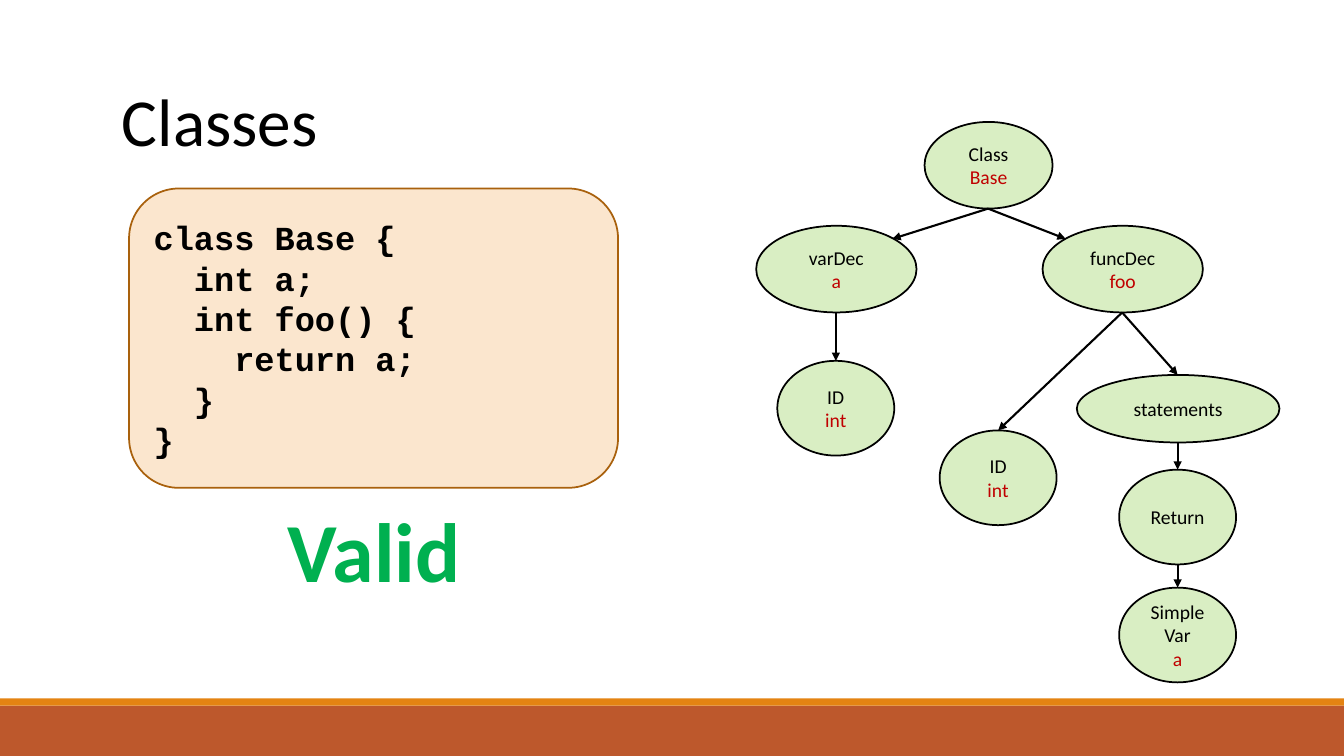
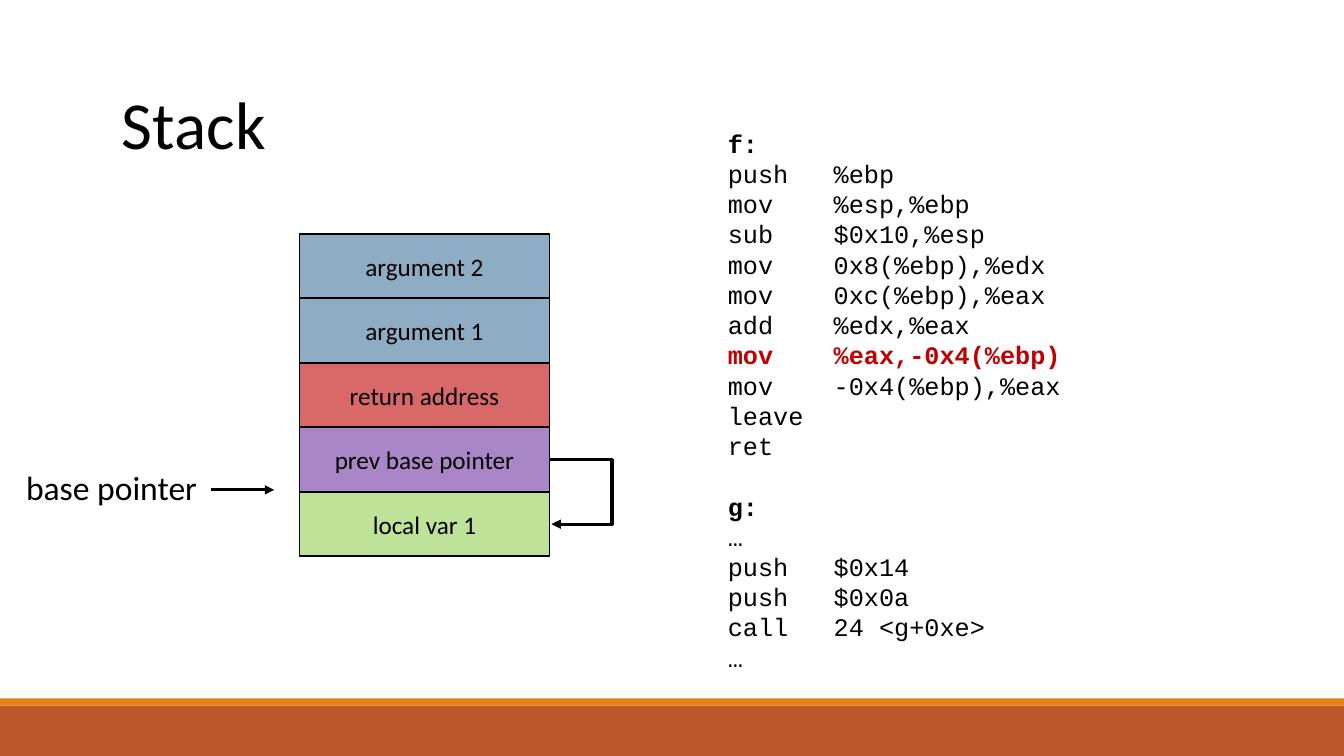
from dataclasses import dataclass
from math import sqrt

from lxml import etree
from pptx import Presentation
from pptx.dml.color import RGBColor
from pptx.enum.shapes import MSO_CONNECTOR, MSO_SHAPE
from pptx.enum.text import MSO_ANCHOR, MSO_AUTO_SIZE, PP_ALIGN
from pptx.oxml.ns import qn
from pptx.util import Emu, Pt

PX = 9144  # 100 px to the inch
SLIDE_WIDTH, SLIDE_HEIGHT = 1333, 750
RECTANGLE, ROUNDED, OVAL = MSO_SHAPE.RECTANGLE, MSO_SHAPE.ROUNDED_RECTANGLE, MSO_SHAPE.OVAL
STRAIGHT, ELBOW = MSO_CONNECTOR.STRAIGHT, MSO_CONNECTOR.ELBOW
LEFT, CENTER = PP_ALIGN.LEFT, PP_ALIGN.CENTER
TOP, MIDDLE = MSO_ANCHOR.TOP, MSO_ANCHOR.MIDDLE
TITLE_ONLY = 5
SANS, MONO = "Calibri", "Courier New"
CODE_LEADING = 1.2
COLORS = {
    "black": "000000", "red": "C00000", "valid": "00B050", "green": "92D050",
    "purple": "7030A0", "blue": "40749B", "code_fill": "FBE6CE",
    "code_line": "A9610D", "band": "BD582C", "stripe": "E48312",
}


@dataclass(frozen=True)
class Box:
    left: int
    top: int
    width: int
    height: int

    @property
    def center_x(self) -> int:
        return self.left + self.width // 2

    @property
    def bottom(self) -> int:
        return self.top + self.height

    def diagonal(self, side: int) -> tuple[int, int]:
        """Point on the upper arc of the inscribed oval: side -1 left, 1 right."""
        reach = 1 / sqrt(2)
        return (round(self.center_x + side * self.width / 2 * reach),
                round(self.top + self.height / 2 * (1 - reach)))


@dataclass(frozen=True)
class Line:
    text: str
    size: int
    color: str = "black"
    font: str = SANS
    bold: bool = False
    space_before: float = 0


@dataclass(frozen=True)
class Node:
    box: Box
    labels: tuple[str, ...]
    value: str = ""


@dataclass(frozen=True)
class Edge:
    parent: str
    child: str
    side: int = 0  # 0 ends at the top, -1 and 1 on the upper left and right arc


@dataclass(frozen=True)
class Cell:
    label: str
    color: str


TREE = {
    "class": Node(Box(917, 121, 127, 86), ("Class",), "Base"),
    "variable": Node(Box(750, 224, 159, 86), ("varDec",), "a"),
    "variable type": Node(Box(771, 358, 116, 94), ("ID",), "int"),
    "function": Node(Box(1034, 224, 159, 86), ("funcDec",), "foo"),
    "function type": Node(Box(932, 427, 116, 94), ("ID",), "int"),
    "statements": Node(Box(1068, 372, 201, 67), ("statements",)),
    "return": Node(Box(1110, 466, 116, 94), ("Return",)),
    "simple": Node(Box(1110, 583, 116, 94), ("Simple", "Var"), "a"),
}
EDGES = (
    Edge("class", "variable", 1), Edge("class", "function", -1),
    Edge("variable", "variable type"), Edge("function", "function type"),
    Edge("function", "statements"), Edge("statements", "return"),
    Edge("return", "simple"),
)
CLASS_CODE = """class Base {
  int a;
  int foo() {
    return a;
  }
}"""
ASSEMBLY_F = """f:
push   %ebp
mov    %esp,%ebp
sub    $0x10,%esp
mov    0x8(%ebp),%edx
mov    0xc(%ebp),%eax
add    %edx,%eax
mov    %eax,-0x4(%ebp)
mov    -0x4(%ebp),%eax
leave
ret"""
ASSEMBLY_G = """g:
…
push   $0x14
push   $0x0a
call   24 <g+0xe>
…"""
CURRENT_INSTRUCTION = "mov    %eax,-0x4(%ebp)"
STACK = (
    Cell("argument 2", "blue"), Cell("argument 1", "blue"),
    Cell("return address", "red"), Cell("prev base pointer", "purple"),
    Cell("local var 1", "green"),
)
STACK_TOP = Box(297, 232, 248, 64)


def rgb(name: str) -> RGBColor:
    return RGBColor.from_string(COLORS[name])


def emu(*lengths: int) -> list[Emu]:
    return [Emu(length * PX) for length in lengths]


def place(box: Box) -> list[Emu]:
    return emu(box.left, box.top, box.width, box.height)


def write(shape, lines: list[Line], align=LEFT, anchor=TOP) -> None:
    frame = shape.text_frame
    frame.word_wrap = True
    frame.auto_size = MSO_AUTO_SIZE.NONE
    frame.vertical_anchor = anchor
    for index, line in enumerate(lines):
        paragraph = frame.add_paragraph() if index else frame.paragraphs[0]
        paragraph.alignment = align
        if line.font == MONO:
            paragraph.line_spacing = Pt(line.size * CODE_LEADING)
        if line.space_before:
            paragraph.space_before = Pt(line.space_before)
        run = paragraph.add_run()
        run.text = line.text
        run.font.name = line.font
        run.font.size = Pt(line.size)
        run.font.bold = line.bold
        run.font.color.rgb = rgb(line.color)


def add_text(slide, box: Box, lines: list[Line], align=LEFT) -> None:
    write(slide.shapes.add_textbox(*place(box)), lines, align)


def add_box(slide, kind, box: Box, fill: str, line: str = "", opacity: int = 100):
    shape = slide.shapes.add_shape(kind, *place(box))
    shape.shadow.inherit = False
    shape.fill.solid()
    shape.fill.fore_color.rgb = rgb(fill)
    if opacity < 100:
        color = shape.element.spPr.find(f"{qn('a:solidFill')}/{qn('a:srgbClr')}")
        etree.SubElement(color, qn("a:alpha"), val=str(opacity * 1000))
    if line:
        shape.line.color.rgb = rgb(line)
        shape.line.width = Pt(1.25)
    else:
        shape.line.fill.background()
    return shape


def add_arrow(slide, start: tuple[int, int], end: tuple[int, int],
              width: float, kind=STRAIGHT):
    arrow = slide.shapes.add_connector(kind, *emu(*start, *end))
    arrow.line.color.rgb = rgb("black")
    arrow.line.width = Pt(width)
    properties = arrow.element.spPr
    etree.SubElement(properties.find(qn("a:ln")), qn("a:tailEnd"), type="triangle")
    etree.SubElement(properties, qn("a:effectLst"))
    return arrow


def add_loop(slide, start: tuple[int, int], end: tuple[int, int], reach: int) -> None:
    """Elbow arrow that runs reach px to the right before it turns back."""
    arrow = add_arrow(slide, start, end, 2.25, ELBOW)
    geometry = arrow.element.spPr.find(qn("a:prstGeom"))
    adjustments = geometry.find(qn("a:avLst"))
    if adjustments is None:
        adjustments = etree.SubElement(geometry, qn("a:avLst"))
    ratio = reach * 100000 // (end[0] - start[0])
    etree.SubElement(adjustments, qn("a:gd"), name="adj1", fmla=f"val {ratio}")


def add_titled_slide(presentation, title: str, top: int):
    slide = presentation.slides.add_slide(presentation.slide_layouts[TITLE_ONLY])
    shape = slide.shapes.title
    shape.left, shape.top, shape.width, shape.height = place(Box(111, top, 1109, 91))
    write(shape, [Line(title, 48)], anchor=MIDDLE)
    return slide


def move_bands_to_master(presentation, slide) -> None:
    """Draw the footer bands on a slide, then hand them to the master."""
    tree = presentation.slide_master.shapes.element
    for box, color in ((Box(0, 693, SLIDE_WIDTH, 7), "stripe"),
                       (Box(0, 700, SLIDE_WIDTH, 50), "band")):
        tree.insert(2, add_box(slide, RECTANGLE, box, color).element)


def code_lines(code: str, size: int, bold: bool = False) -> list[Line]:
    return [Line(text, size, font=MONO, bold=bold) for text in code.splitlines()]


def assembly_lines() -> list[Line]:
    size = 18
    lines = []
    for code in (ASSEMBLY_F, ASSEMBLY_G):
        for index, text in enumerate(code.splitlines()):
            current = text == CURRENT_INSTRUCTION
            gap = size * CODE_LEADING if lines and not index else 0
            lines.append(Line(text, size, "red" if current else "black", MONO,
                              current or not index, gap))
    return lines


def add_node(slide, node: Node) -> None:
    lines = [Line(label, 14) for label in node.labels]
    if node.value:
        lines.append(Line(node.value, 14, "red"))
    shape = add_box(slide, OVAL, node.box, "green", "black", 34)
    write(shape, lines, CENTER, MIDDLE)


def add_edge(slide, edge: Edge) -> None:
    parent, child = TREE[edge.parent].box, TREE[edge.child].box
    end = child.diagonal(edge.side) if edge.side else (child.center_x, child.top)
    add_arrow(slide, (parent.center_x, parent.bottom), end, 1.5)


def build_classes(slide) -> None:
    code = add_box(slide, ROUNDED, Box(128, 187, 485, 297), "code_fill", "code_line")
    write(code, code_lines(CLASS_CODE, 24, True), anchor=MIDDLE)
    add_text(slide, Box(218, 490, 306, 111), [Line("Valid", 60, "valid", bold=True)], CENTER)
    for node in TREE.values():
        add_node(slide, node)
    for edge in EDGES:
        add_edge(slide, edge)


def build_stack(slide) -> None:
    add_text(slide, Box(712, 122, 508, 555), assembly_lines())
    for index, cell in enumerate(STACK):
        box = Box(STACK_TOP.left, STACK_TOP.top + index * STACK_TOP.height,
                  STACK_TOP.width, STACK_TOP.height)
        shape = add_box(slide, RECTANGLE, box, cell.color, "black", 59)
        write(shape, [Line(cell.label, 18)], CENTER, MIDDLE)
    add_text(slide, Box(16, 458, 204, 50), [Line("base pointer", 24)])
    add_arrow(slide, (209, 486), (272, 486), 2.25)
    add_loop(slide, (546, 456), (547, 520), 62)


def main() -> None:
    presentation = Presentation()
    presentation.slide_width, presentation.slide_height = emu(SLIDE_WIDTH, SLIDE_HEIGHT)
    classes = add_titled_slide(presentation, "Classes", 73)
    move_bands_to_master(presentation, classes)
    build_classes(classes)
    build_stack(add_titled_slide(presentation, "Stack", 76))
    presentation.save("out.pptx")


if __name__ == "__main__":
    main()
